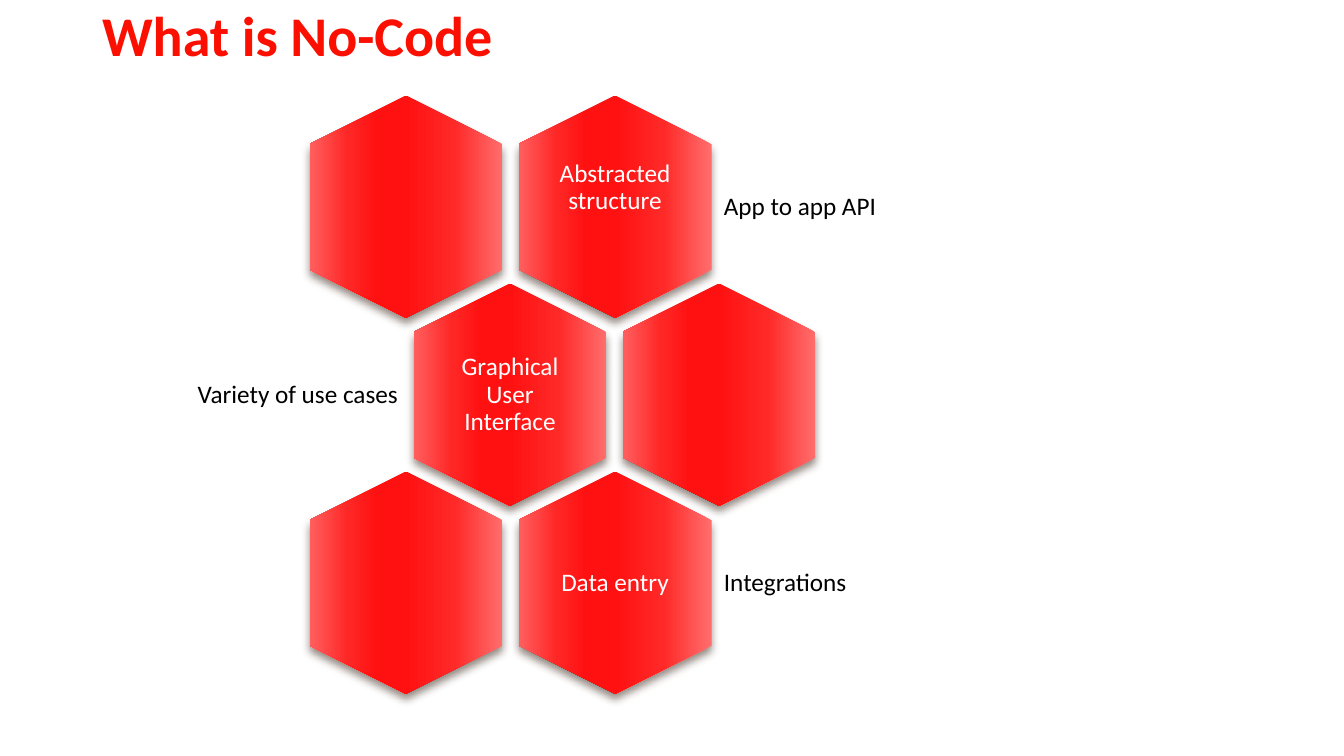
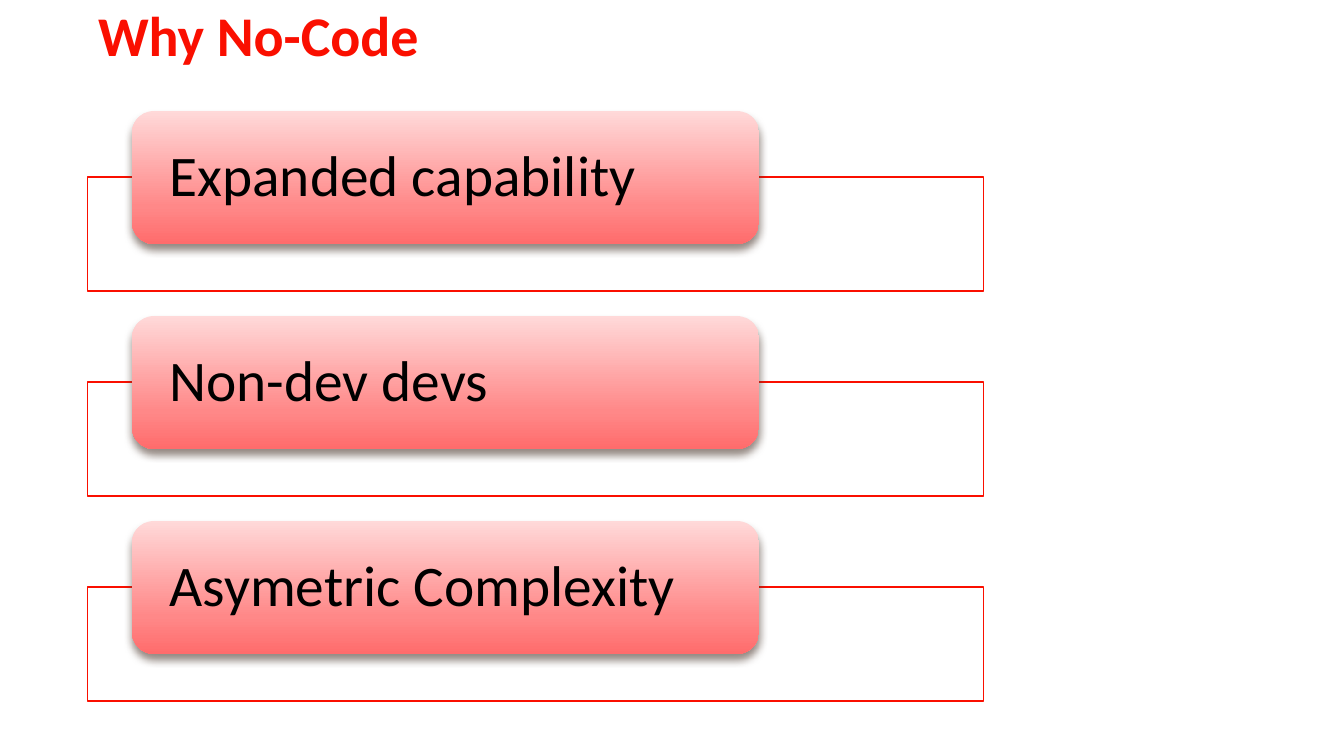
from pptx import Presentation
from pptx.dml.color import RGBColor
from pptx.enum.shapes import MSO_SHAPE as Shape
from pptx.enum.text import MSO_ANCHOR as Anchor, PP_ALIGN as Align
from pptx.oxml.ns import qn
from pptx.util import Pt
from lxml.etree import SubElement

EMU_PER_PX = 914400 / 100.8
FONT = "Calibri"
RED, WHITE, BLACK, SHADOW = "FA0F00", "FFFFFF", "000000", "4E3B30"
HEXAGON_STOPS = [(0, "FF6E6D"), (25, "FF2928"), (50, "FF1111"),
                 (65, "FF1111"), (80, "FF2726"), (100, "FF5F5F")]
TAB_STOPS = [(0, "FFD9D9"), (72, "FF8888"), (100, "FF6C6C")]

HEX_WIDTH, HEX_HEIGHT = 193, 222
HEX_COLUMN_STEP, HEX_ROW_STEP, HEX_ROW_SHIFT = 209, 188, 104
HEX_FIRST_X, HEX_FIRST_Y = 406, 207
HEX_TEXTS = [["", "Abstracted structure"],
             ["Graphical User Interface", ""],
             ["", "Data entry"]]
HEX_TEXT_LIFTS = [19, 0, 0]
SIDE_LABELS = [("App to app API", 717, 247, Align.LEFT),
               ("Variety of use cases", 166, 239, Align.RIGHT),
               ("Integrations", 717, 247, Align.LEFT)]

REASONS = ["Expanded capability", "Non-dev devs", "Asymetric Complexity"]
REASON_TOP, REASON_STEP = 111, 205


def px(length):
    """Turn px into EMU."""
    return round(length * EMU_PER_PX)


def color(hex_code):
    """Turn a hex string into a colour."""
    return RGBColor.from_string(hex_code)


def write(frame, text, size, hex_code, align=Align.LEFT, bold=False):
    """Put one formatted paragraph into a text frame."""
    frame.text = text
    paragraph = frame.paragraphs[0]
    paragraph.alignment = align
    font = paragraph.runs[0].font
    font.name, font.size, font.bold = FONT, Pt(size), bold
    font.color.rgb = color(hex_code)
    return paragraph


def set_margins(frame, sides, ends):
    """Set the side and the top and bottom margins of a text frame."""
    frame.margin_left = frame.margin_right = px(sides)
    frame.margin_top = frame.margin_bottom = px(ends)


def set_alpha(color_element, percent):
    """Make a colour element partly transparent."""
    SubElement(color_element, qn("a:alpha"), val=str(percent * 1000))


def add_panel(slide, kind, left, top, width, height):
    """Add a preset shape without a shadow."""
    panel = slide.shapes.add_shape(kind, px(left), px(top), px(width), px(height))
    panel.shadow.inherit = False
    return panel


def add_glossy(slide, kind, left, top, width, height, stops):
    """Add a borderless shape with a gradient and a soft shadow below."""
    glossy = add_panel(slide, kind, left, top, width, height)
    glossy.line.fill.background()
    glossy.fill.gradient()
    glossy.fill.gradient_angle = 270
    properties = glossy.element.spPr
    stop_list = properties.find(".//" + qn("a:gsLst"))
    stop_list.clear()
    for position, hex_code in stops:
        stop = SubElement(stop_list, qn("a:gs"), pos=str(position * 1000))
        SubElement(stop, qn("a:srgbClr"), val=hex_code)
    outer = SubElement(properties.find(qn("a:effectLst")), qn("a:outerShdw"),
                       blurRad=str(Pt(6)), dist=str(Pt(4)), dir="5400000",
                       rotWithShape="0")
    set_alpha(SubElement(outer, qn("a:srgbClr"), val=SHADOW), 60)
    return glossy


def add_label(slide, text, left, middle, width, height, hex_code, align):
    """Add wrapped text centred on a height."""
    label = slide.shapes.add_textbox(px(left), px(middle - height / 2),
                                     px(width), px(height))
    frame = label.text_frame
    frame.word_wrap = True
    frame.vertical_anchor = Anchor.MIDDLE
    set_margins(frame, 7, 7)
    write(frame, text, 18, hex_code, align).line_spacing = 0.9


def add_titled_slide(deck, text, left, width):
    """Add a slide with the red title."""
    slide = deck.slides.add_slide(deck.slide_layouts[5])
    title = slide.shapes.title
    title.left, title.top = px(left), px(-5)
    title.width, title.height = px(width), px(78)
    title.text_frame.word_wrap = False
    title.text_frame.vertical_anchor = Anchor.TOP
    write(title.text_frame, text, 40, RED, bold=True)
    return slide


def add_hexagon(slide, center_x, center_y):
    """Add a hexagon standing on its point."""
    hexagon = add_glossy(slide, Shape.HEXAGON, center_x - HEX_HEIGHT / 2,
                         center_y - HEX_WIDTH / 2, HEX_HEIGHT, HEX_WIDTH,
                         HEXAGON_STOPS)
    hexagon.rotation = 90
    hexagon.adjustments[0] = 0.25


def add_honeycomb(slide):
    """Add the rows of hexagons with their texts and side labels."""
    for row, texts in enumerate(HEX_TEXTS):
        center_y = HEX_FIRST_Y + row * HEX_ROW_STEP
        for column, text in enumerate(texts):
            center_x = (HEX_FIRST_X + column * HEX_COLUMN_STEP
                        + row % 2 * HEX_ROW_SHIFT)
            add_hexagon(slide, center_x, center_y)
            if text:
                add_label(slide, text, center_x - 67,
                          center_y - HEX_TEXT_LIFTS[row], 134, 152,
                          WHITE, Align.CENTER)
        label, left, width, align = SIDE_LABELS[row]
        add_label(slide, label, left, center_y, width, 133, BLACK, align)


def add_reason(slide, text, top):
    """Add an outlined box with a tab that names a reason."""
    box = add_panel(slide, Shape.RECTANGLE, 88, top + 66, 896, 114)
    box.fill.solid()
    box.fill.fore_color.rgb = color(WHITE)
    set_alpha(box.element.spPr.find(qn("a:solidFill"))[0], 90)
    box.line.color.rgb = color(RED)
    box.line.width = Pt(0.79)
    tab = add_glossy(slide, Shape.ROUNDED_RECTANGLE, 132, top, 627, 133, TAB_STOPS)
    frame = tab.text_frame
    frame.vertical_anchor = Anchor.MIDDLE
    set_margins(frame, 31, 0)
    write(frame, text, 41, BLACK).line_spacing = 0.9


def main():
    """Build and save the deck."""
    deck = Presentation()
    deck.slide_width, deck.slide_height = px(1344), px(756)
    add_honeycomb(add_titled_slide(deck, "What is No-Code", 92, 415))
    why = add_titled_slide(deck, "Why No-Code", 88, 345)
    for index, reason in enumerate(REASONS):
        add_reason(why, reason, REASON_TOP + index * REASON_STEP)
    deck.save("out.pptx")


if __name__ == "__main__":
    main()
